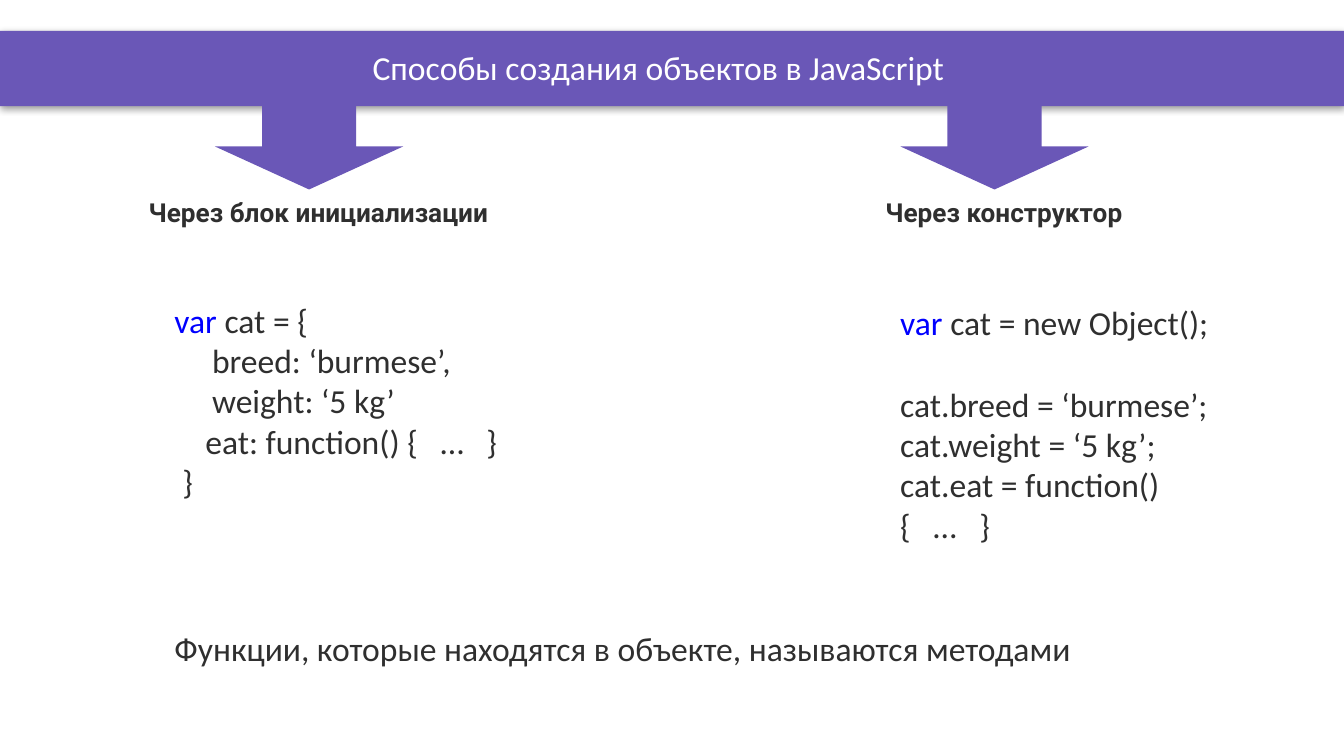
from pptx import Presentation
from pptx.dml.color import RGBColor
from pptx.enum.shapes import MSO_SHAPE
from pptx.enum.text import MSO_ANCHOR, PP_ALIGN
from pptx.oxml import parse_xml
from pptx.util import Inches, Pt

PURPLE = RGBColor(0x6A, 0x57, 0xB7)
DARK = RGBColor(0x2F, 0x2F, 0x2F)
BLUE = RGBColor(0x00, 0x00, 0xFF)
WHITE = RGBColor(0xFF, 0xFF, 0xFF)
RECTANGLE, DOWN_ARROW = MSO_SHAPE.RECTANGLE, MSO_SHAPE.DOWN_ARROW
LEFT, CENTER = PP_ALIGN.LEFT, PP_ALIGN.CENTER
TOP, MIDDLE = MSO_ANCHOR.TOP, MSO_ANCHOR.MIDDLE

BODY = {"name": "Calibri", "size": Pt(18)}
HEADING = {"name": "Roboto", "size": Pt(14), "bold": True}
SHADOW = (
    '<a:effectLst xmlns:a="http://schemas.openxmlformats.org/drawingml/2006/main">'
    '<a:outerShdw blurRad="50800" dist="12700" dir="5400000" algn="t" rotWithShape="0">'
    '<a:srgbClr val="000000"><a:alpha val="40000"/></a:srgbClr>'
    '</a:outerShdw></a:effectLst>'
)

presentation = Presentation()
presentation.slide_width = Inches(10)
presentation.slide_height = Inches(10 * 9 / 16)
slide = presentation.slides.add_slide(presentation.slide_layouts[6])


def add_purple_shape(kind, left, top, width, height):
    shape = slide.shapes.add_shape(kind, Inches(left), Inches(top), Inches(width), Inches(height))
    shape.shadow.inherit = False
    shape.fill.solid()
    shape.fill.fore_color.rgb = PURPLE
    shape.line.fill.background()
    return shape


def add_text(box, lines, font, alignment=LEFT, anchor=TOP):
    frame = slide.shapes.add_textbox(*map(Inches, box)).text_frame
    frame.word_wrap = True
    frame.vertical_anchor = anchor
    for number, (indent, space_before, runs) in enumerate(lines):
        paragraph = frame.add_paragraph() if number else frame.paragraphs[0]
        paragraph.alignment = alignment
        paragraph.space_before = Pt(space_before)
        if indent:
            paragraph._p.get_or_add_pPr().set("marL", str(Inches(indent)))
        for text, color in runs:
            run = paragraph.add_run()
            run.text = text
            run.font.color.rgb = color
            for attribute, value in font.items():
                setattr(run.font, attribute, value)


bar = add_purple_shape(RECTANGLE, 0, 0.23, 10, 0.56)
properties = bar._element.spPr
for effects in properties.findall("{*}effectLst"):
    properties.remove(effects)
properties.append(parse_xml(SHADOW))

for arrow_left in (1.6, 6.7):
    add_purple_shape(DOWN_ARROW, arrow_left, 0.77, 1.4, 0.64)

title = [(0, 0, [("Способы создания объектов в JavaScript", WHITE)])]
add_text((0.4, 0.23, 9, 0.54), title, BODY, CENTER, MIDDLE)

headings = [(0.57, 3.6, "Через блок инициализации"), (6.17, 2.6, "Через конструктор")]
for left, width, text in headings:
    add_text((left, 1.41, width, 0.34), [(0, 0, [(text, DARK)])], HEADING, CENTER)

initializer_code = [
    (0, 0, [("var", BLUE), (" cat = {", DARK)]),
    (0.28, 0, [("breed: ‘burmese’,", DARK)]),
    (0.28, 0, [("weight: ‘5 kg’", DARK)]),
    (0.23, 0, [("eat: function() {   …   }", DARK)]),
    (0.06, 0, [("}", DARK)]),
]
add_text((1.2, 2.18, 3.2, 1.62), initializer_code, BODY)

constructor_code = [
    (0, 0, [("var", BLUE), (" cat = new Object();", DARK)]),
    (0, 22, [("cat.breed = ‘burmese’;", DARK)]),
    (0, 0, [("cat.weight = ‘5 kg’;", DARK)]),
    (0, 0, [("cat.eat = function() {   …   }", DARK)]),
]
add_text((6.6, 2.2, 2.6, 1.92), constructor_code, BODY)

conclusion = [(0, 0, [("Функции, которые находятся в объекте, называются методами", DARK)])]
add_text((1.2, 4.62, 8.2, 0.4), conclusion, BODY)

presentation.save("out.pptx")
